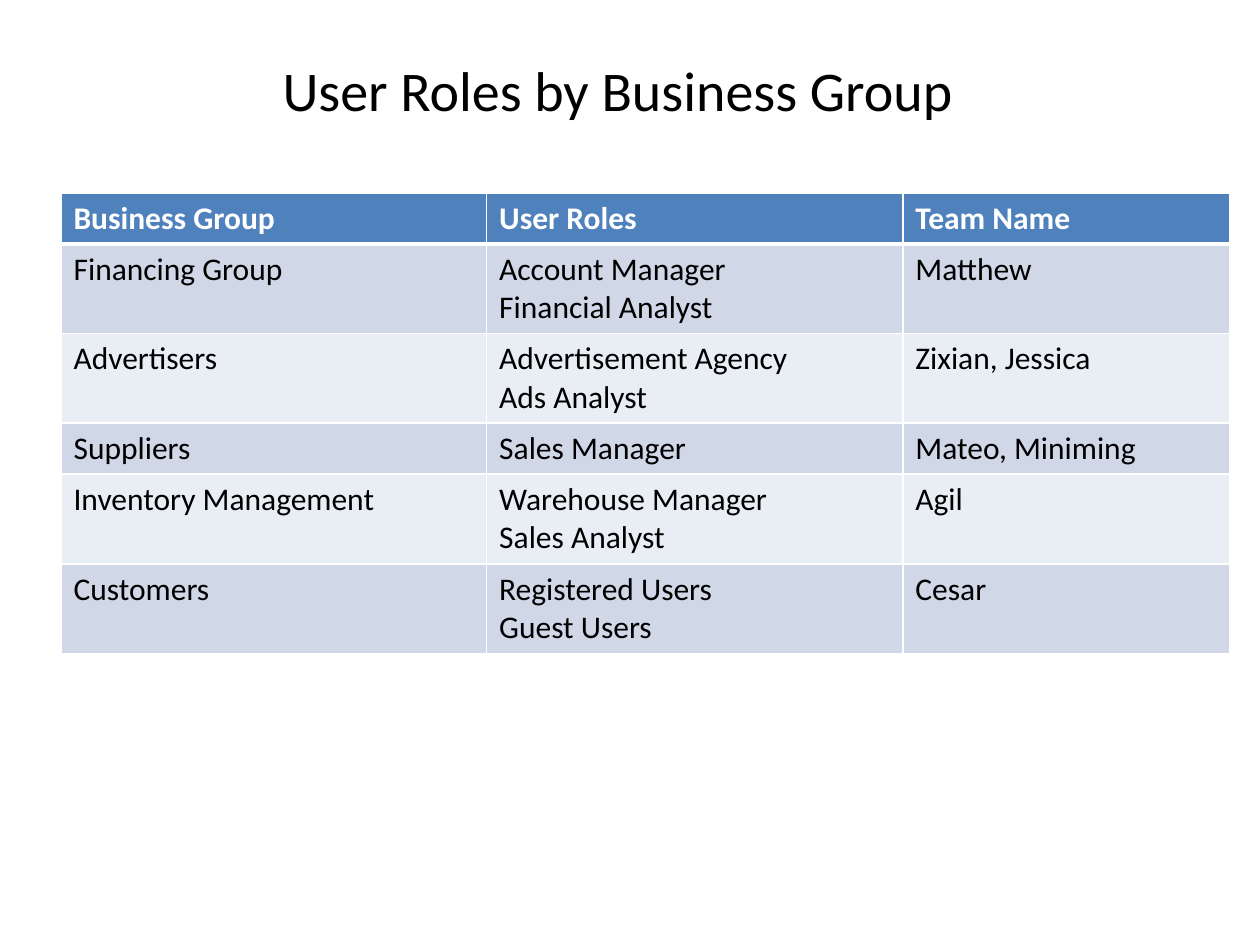
from lxml.etree import SubElement
from pptx import Presentation
from pptx.dml.color import RGBColor
from pptx.enum.text import MSO_ANCHOR, PP_ALIGN
from pptx.oxml.ns import qn
from pptx.util import Cm, Pt

# Content
TITLE = "User Roles by Business Group"
HEADINGS = ("Business Group", "User Roles", "Team Name")
GROUPS = [
    ("Financing Group", "Account Manager\nFinancial Analyst", "Matthew"),
    ("Advertisers", "Advertisement Agency\nAds Analyst", "Zixian, Jessica"),
    ("Suppliers", "Sales Manager", "Mateo, Miniming"),
    ("Inventory Management", "Warehouse Manager\nSales Analyst", "Agil"),
    ("Customers", "Registered Users\nGuest Users", "Cesar"),
]

# Format
FONT = "Calibri"
BLACK = RGBColor(0x00, 0x00, 0x00)
WHITE = RGBColor(0xFF, 0xFF, 0xFF)
HEADER_BLUE = RGBColor(0x4F, 0x81, 0xBD)
BANDS = (RGBColor(0xD0, 0xD8, 0xE8), RGBColor(0xE9, 0xED, 0xF4))
COLUMN_WIDTHS = (8.58, 8.39, 6.6)
LINE_HEIGHT, CELL_PADDING = 0.77, 0.25


def write(frame, text, size=18, color=BLACK, bold=False, align=PP_ALIGN.LEFT):
    frame.text = text
    for paragraph in frame.paragraphs:
        paragraph.alignment = align
        font = paragraph.font
        font.name, font.size, font.bold = FONT, Pt(size), bold
        font.color.rgb = color


def set_borders(cell, **widths):
    properties = cell._tc.get_or_add_tcPr()
    for side in "LRTB":
        line = SubElement(properties, qn(f"a:ln{side}"), w=str(Pt(widths.get(side, 1))))
        fill = SubElement(line, qn("a:solidFill"))
        SubElement(fill, qn("a:srgbClr"), val=str(WHITE))


def row_height(row):
    lines = max(text.count("\n") + 1 for text in row)
    return lines * LINE_HEIGHT + CELL_PADDING


prs = Presentation()
prs.slide_width, prs.slide_height = Cm(25.4), Cm(19.05)
slide = prs.slides.add_slide(prs.slide_layouts[5])

# Title
title = slide.shapes.title
title.left, title.top, title.width, title.height = Cm(5.38), Cm(0.99), Cm(14.15), Cm(1.63)
title.text_frame.word_wrap = False
title.text_frame.vertical_anchor = MSO_ANCHOR.MIDDLE
write(title.text_frame, TITLE, size=32, align=PP_ALIGN.CENTER)

# Table of roles
rows = [HEADINGS, *GROUPS]
heights = [row_height(row) for row in rows]
roles = slide.shapes.add_table(
    len(rows), len(HEADINGS), Cm(1.23), Cm(3.89), Cm(sum(COLUMN_WIDTHS)), Cm(sum(heights))
).table
for column, width in zip(roles.columns, COLUMN_WIDTHS):
    column.width = Cm(width)

for r, row in enumerate(rows):
    roles.rows[r].height = Cm(heights[r])
    is_header = r == 0
    for c, text in enumerate(row):
        cell = roles.cell(r, c)
        # A thick rule parts the header from the groups
        set_borders(cell, T=3 if r == 1 else 1, B=3 if is_header else 1)
        cell.fill.solid()
        cell.fill.fore_color.rgb = HEADER_BLUE if is_header else BANDS[(r - 1) % 2]
        write(cell.text_frame, text, color=WHITE if is_header else BLACK, bold=is_header)

prs.save("out.pptx")
